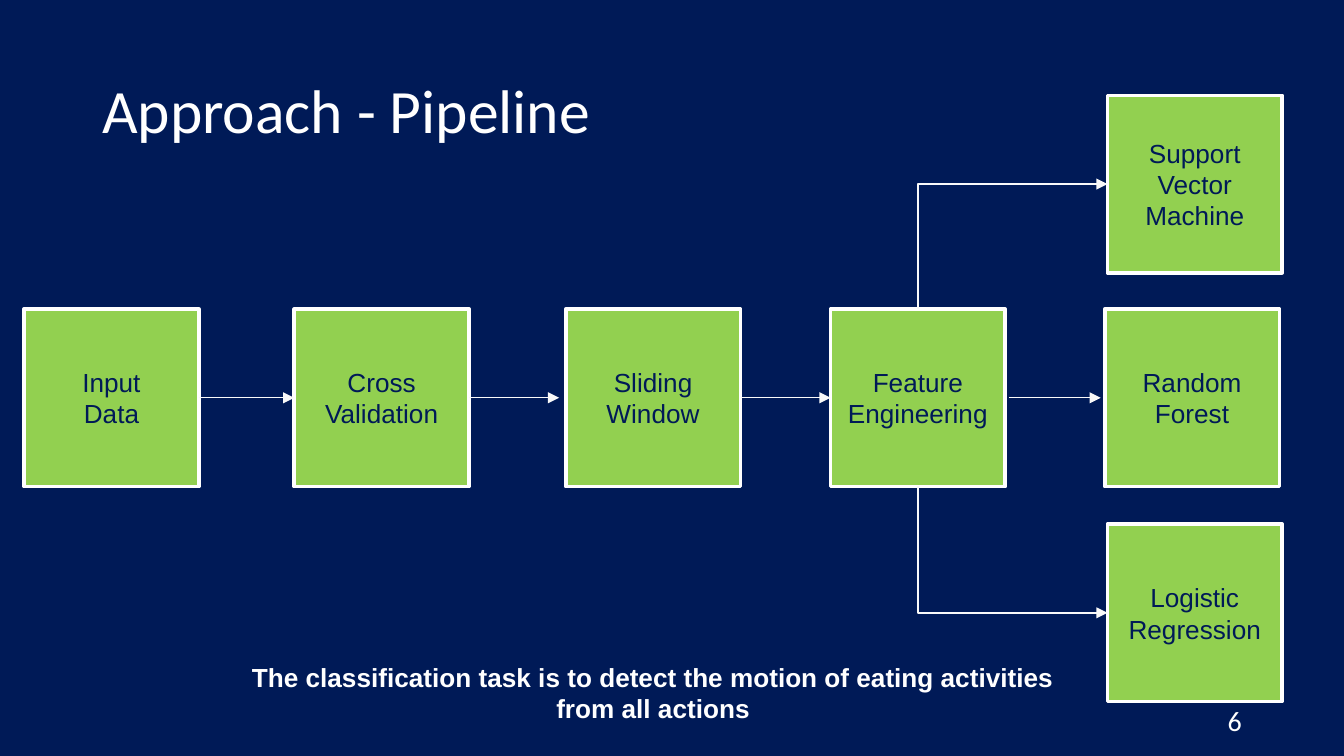
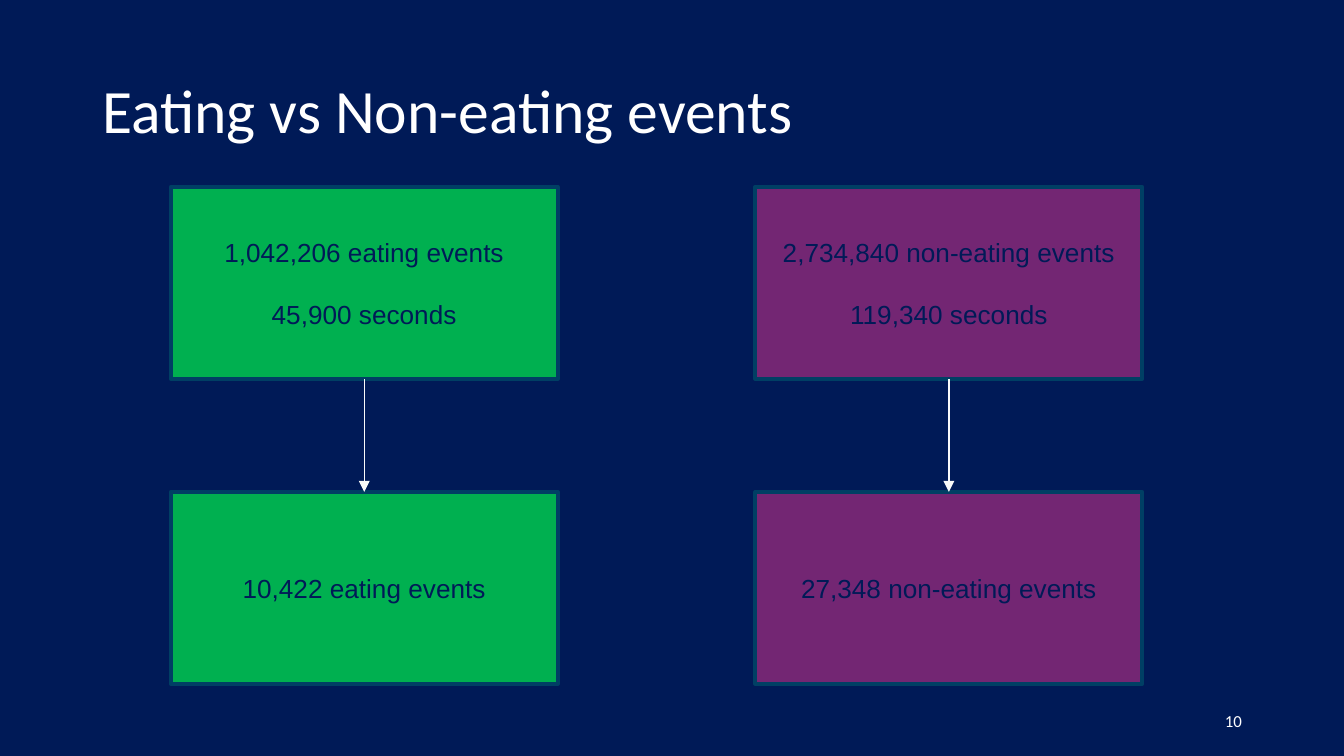
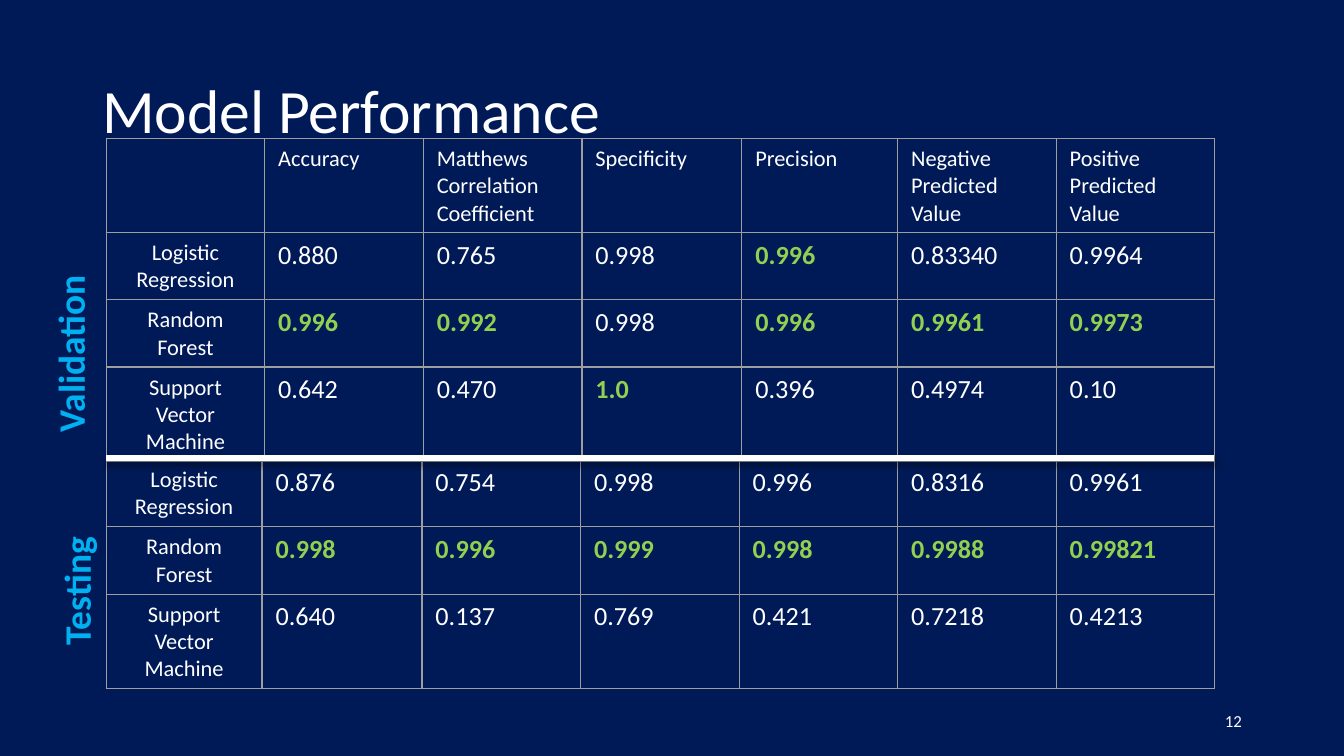
"""Build three slides on detecting eating events."""
from dataclasses import dataclass
from typing import Optional

from pptx import Presentation
from pptx.dml.color import RGBColor
from pptx.enum.shapes import MSO_CONNECTOR, MSO_SHAPE
from pptx.enum.text import MSO_ANCHOR, PP_ALIGN
from pptx.oxml import parse_xml
from pptx.oxml.ns import nsdecls, qn
from pptx.shapes.autoshape import Shape
from pptx.shapes.connector import Connector
from pptx.slide import Slide
from pptx.text.text import TextFrame
from pptx.util import Inches, Pt

NAVY = RGBColor(0x00, 0x1A, 0x57)
WHITE = RGBColor(0xFF, 0xFF, 0xFF)
PALE = RGBColor(0xF9, 0xF9, 0xF9)
LIME = RGBColor(0x92, 0xD0, 0x50)
GREEN = RGBColor(0x00, 0xB0, 0x50)
PLUM = RGBColor(0x73, 0x26, 0x73)
TEAL = RGBColor(0x00, 0x3F, 0x64)
SKY = RGBColor(0x00, 0xB0, 0xF0)
GREY = RGBColor(0x9E, 0x9E, 0x9E)
LEFT, MID, RIGHT = PP_ALIGN.LEFT, PP_ALIGN.CENTER, PP_ALIGN.RIGHT
TOP_SIDE, LEFT_SIDE, BASE_SIDE, RIGHT_SIDE = range(4)


@dataclass(frozen=True)
class Look:
    """How a piece of text is set."""
    font: str
    size: float
    color: RGBColor
    bold: bool = False
    align: PP_ALIGN = LEFT


@dataclass(frozen=True)
class Area:
    """A frame on the slide, in inches."""
    x: float
    y: float
    w: float
    h: float

    def spans(self) -> tuple:
        """Return the frame as lengths."""
        return Inches(self.x), Inches(self.y), Inches(self.w), Inches(self.h)


@dataclass(frozen=True)
class Style:
    """Fill and outline of a box."""
    fill: RGBColor
    line: RGBColor


@dataclass(frozen=True)
class Grid:
    """Place, sizes and rows of a results table."""
    area: Area
    cols: tuple
    rows: tuple
    names: tuple
    scores: tuple
    heads: tuple = ()


TITLE = Look("Calibri", 33, WHITE)
BOX = Look("Arial", 14, NAVY, align=MID)
NOTE = Look("Arial", 14, WHITE, True, MID)
HEAD = Look("Calibri", 12, WHITE)
NAME = Look("Calibri", 12, WHITE, align=MID)
SCORE = Look("Calibri", 14, WHITE)
BEST = Look("Calibri", 14, LIME, True)
SIDE = Look("Calibri", 20, SKY, True)
STEP = Style(LIME, WHITE)
EAT = Style(GREEN, TEAL)
REST = Style(PLUM, TEAL)

MODELS = ("Logistic\nRegression", "Random Forest", "Support Vector Machine")
VALID = Grid(
    Area(0.79, 1.03, 8.23, 2.4),
    (1.18, 1.18, 1.18, 1.19, 1.16, 1.18, 1.18), (0.67, 0.47, 0.47, 0.67), MODELS,
    (("0.880", "0.765", "0.998", "0.996", "0.83340", "0.9964"),
     ("0.996", "0.992", "0.998", "0.996", "0.9961", "0.9973"),
     ("0.642", "0.470", "1.0", "0.396", "0.4974", "0.10")),
    ("", "Accuracy", "Matthews\nCorrelation\nCoefficient", "Specificity", "Precision",
     "Negative\nPredicted\nValue", "Positive\nPredicted\nValue"))
TEST = Grid(
    Area(0.79, 3.42, 8.23, 1.7),
    (1.16, 1.19, 1.18, 1.18, 1.18, 1.18, 1.18), (0.47, 0.47, 0.66), MODELS,
    (("0.876", "0.754", "0.998", "0.996", "0.8316", "0.9961"),
     ("0.998", "0.996", "0.999", "0.998", "0.9988", "0.99821"),
     ("0.640", "0.137", "0.769", "0.421", "0.7218", "0.4213")))


def write(frame: TextFrame, text: str, look: Look, gap: float = 0) -> None:
    """Fill a frame with paragraphs, gap points apart."""
    frame.text = text
    for index, para in enumerate(frame.paragraphs):
        para.alignment = look.align
        if index and gap:
            para.space_before = Pt(gap)
        font = para.font
        font.name, font.size, font.bold = look.font, Pt(look.size), look.bold
        font.color.rgb = look.color


def trim(frame: TextFrame) -> None:
    """Give a frame slim margins and centre it in height."""
    frame.margin_left = frame.margin_right = Inches(0.07)
    frame.margin_top = frame.margin_bottom = Inches(0.04)
    frame.vertical_anchor = MSO_ANCHOR.MIDDLE


def add_text(slide: Slide, area: Area, text: str, look: Look, turn: float = 0) -> Shape:
    """Add a wrapped text box."""
    box = slide.shapes.add_textbox(*area.spans())
    box.rotation = turn
    box.text_frame.word_wrap = True
    write(box.text_frame, text, look)
    return box


def add_page(deck: Presentation, title: str, number: str, size: float = 9) -> Slide:
    """Add a slide with its title and page number."""
    slide = deck.slides.add_slide(deck.slide_layouts[5])
    head = slide.shapes.title
    head.left, head.top, head.width, head.height = Area(0.69, 0.3, 8.62, 1.09).spans()
    write(head.text_frame, title, TITLE)
    trim(head.text_frame)
    head.text_frame.paragraphs[0].line_spacing = 0.9
    look = Look("Calibri", size, WHITE, align=RIGHT)
    trim(add_text(slide, Area(7.06, 5.21, 2.25, 0.3), number, look).text_frame)
    return slide


def add_box(slide: Slide, area: Area, text: str, style: Style, gap: float = 0) -> Shape:
    """Add a filled box with centred text."""
    box = slide.shapes.add_shape(MSO_SHAPE.RECTANGLE, *area.spans())
    box.shadow.inherit = False
    box.fill.solid()
    box.fill.fore_color.rgb = style.fill
    box.line.color.rgb = style.line
    box.line.width = Pt(2)
    box.text_frame.word_wrap = True
    box.text_frame.vertical_anchor = MSO_ANCHOR.MIDDLE
    write(box.text_frame, text, BOX, gap)
    return box


def add_line(slide: Slide, start: tuple, end: tuple, color: RGBColor = PALE,
             width: float = 0.75, kind: MSO_CONNECTOR = MSO_CONNECTOR.STRAIGHT,
             arrow: bool = True, shade: str = "") -> Connector:
    """Add a line, with an arrowhead at its end if asked."""
    line = slide.shapes.add_connector(kind, *map(Inches, start + end))
    line.line.color.rgb = color
    line.line.width = Pt(width)
    props = line._element.spPr
    if arrow:
        props.find(qn("a:ln")).append(parse_xml(f'<a:tailEnd {nsdecls("a")} type="triangle"/>'))
    props.append(parse_xml(f'<a:effectLst {nsdecls("a")}>{shade}</a:effectLst>'))
    return line


def add_bend(slide: Slide, start: tuple, end: tuple) -> None:
    """Add an arrow that runs upright, then turns right."""
    (x1, y1), (x2, y2) = start, end
    rising = y2 < y1
    mid_x, mid_y = (x1 + x2) / 2, (y1 + y2) / 2
    half_w, half_h = abs(y2 - y1) / 2, (x2 - x1) / 2
    if not rising:
        half_h = -half_h
    line = add_line(slide, (mid_x + half_w, mid_y + half_h), (mid_x - half_w, mid_y - half_h),
                    kind=MSO_CONNECTOR.ELBOW)
    props = line._element.spPr
    props.find(qn("a:prstGeom")).set("prst", "bentConnector2")
    props.find(qn("a:xfrm")).set("rot", str((90 if rising else 270) * 60000))


def join(slide: Slide, first: Shape, last: Optional[Shape], sides: tuple,
         start: tuple = (0, 0), end: tuple = (0, 0)) -> None:
    """Draw an arrow from one box to the next."""
    line = add_line(slide, start, end)
    line.begin_connect(first, sides[0])
    if last is not None:
        line.end_connect(last, sides[1])


def add_grid(slide: Slide, grid: Grid) -> None:
    """Add a table that marks the best score in each column."""
    holder = slide.shapes.add_table(len(grid.rows), len(grid.cols), *grid.area.spans())
    table = holder.table
    table.first_row = table.horz_banding = False
    for col, width in zip(table.columns, grid.cols):
        col.width = Inches(width)
    for row, height in zip(table.rows, grid.rows):
        row.height = Inches(height)
    holder.width, holder.height = Inches(grid.area.w), Inches(grid.area.h)
    peaks = [max(map(float, col)) for col in zip(*grid.scores)]
    lines = [[(text, HEAD) for text in grid.heads]] if grid.heads else []
    for name, scores in zip(grid.names, grid.scores):
        lines.append([(name, NAME)] + [(text, BEST if float(text) == peak else SCORE)
                                       for text, peak in zip(scores, peaks)])
    for row, line in zip(table.rows, lines):
        for cell, (text, look) in zip(row.cells, line):
            write(cell.text_frame, text, look)
            props = cell._tc.get_or_add_tcPr()
            for edge in "LRTB":
                props.append(parse_xml(
                    f'<a:ln{edge} {nsdecls("a")} w="{Pt(0.75)}"><a:solidFill>'
                    f'<a:srgbClr val="{GREY}"/></a:solidFill></a:ln{edge}>'))
            cell.fill.background()


def draw_flow(deck: Presentation) -> None:
    """Draw the pipeline slide."""
    slide = add_page(deck, "Approach - Pipeline", "6", 15)
    wide, high, top = 1.3, 1.32, 2.3
    steps = ((0.18, top, "Input\nData"), (2.19, top, "Cross Validation"),
             (4.21, top, "Sliding Window"), (6.18, top, "Feature Engineering"),
             (8.22, top, "Random Forest"), (8.24, 0.71, "Support Vector Machine"),
             (8.24, 3.9, "Logistic Regression"))
    boxes = [add_box(slide, Area(x, y, wide, high), text, STEP) for x, y, text in steps]
    sides = RIGHT_SIDE, LEFT_SIDE
    mid = top + high / 2
    join(slide, boxes[0], boxes[1], sides)
    join(slide, boxes[1], None, sides, (3.49, mid), (4.16, mid))
    join(slide, boxes[2], boxes[3], sides)
    add_line(slide, (7.51, mid), (8.19, mid))
    stem = 6.18 + wide / 2
    add_bend(slide, (stem, top), (8.24, 0.71 + high / 2))
    add_bend(slide, (stem, top + high), (8.24, 3.9 + high / 2))
    add_text(slide, Area(1.58, 4.87, 6.56, 0.57),
             "The classification task is to detect the motion of eating activities "
             "from all actions", NOTE)


def draw_counts(deck: Presentation) -> None:
    """Draw the slide of event counts."""
    slide = add_page(deck, "Eating vs Non-eating events", "10")
    pairs = ((1.27, EAT, "1,042,206 eating events\n45,900 seconds", "10,422 eating events"),
             (5.62, REST, "2,734,840 non-eating events\n119,340 seconds",
              "27,348 non-eating events"))
    for x, style, before, after in pairs:
        first = add_box(slide, Area(x, 1.39, 2.88, 1.43), before, style, gap=16.5)
        last = add_box(slide, Area(x, 3.66, 2.88, 1.43), after, style)
        join(slide, first, last, (BASE_SIDE, TOP_SIDE))


def draw_scores(deck: Presentation) -> None:
    """Draw the slide of model scores."""
    slide = add_page(deck, "Model Performance", "12")
    add_grid(slide, TEST)
    add_text(slide, Area(-0.19, 2.05, 1.76, 0.77), "Validation", SIDE, 270)
    add_grid(slide, VALID)
    shade = (f'<a:outerShdw blurRad="{Pt(3.1)}" dist="{Pt(1.8)}" dir="5400000" rotWithShape="0">'
             '<a:srgbClr val="000000"><a:alpha val="35000"/></a:srgbClr></a:outerShdw>')
    add_line(slide, (0.79, 3.41), (9.03, 3.41), WHITE, 3, arrow=False, shade=shade)
    add_text(slide, Area(-0.21, 3.9, 1.56, 0.44), "Testing", SIDE, 270)


def main() -> None:
    """Build and save the deck."""
    deck = Presentation()
    deck.slide_width = Inches(10)
    deck.slide_height = deck.slide_width * 9 // 16
    back = deck.slide_master.background.fill
    back.solid()
    back.fore_color.rgb = NAVY
    draw_flow(deck)
    draw_counts(deck)
    draw_scores(deck)
    deck.save("out.pptx")


if __name__ == "__main__":
    main()
